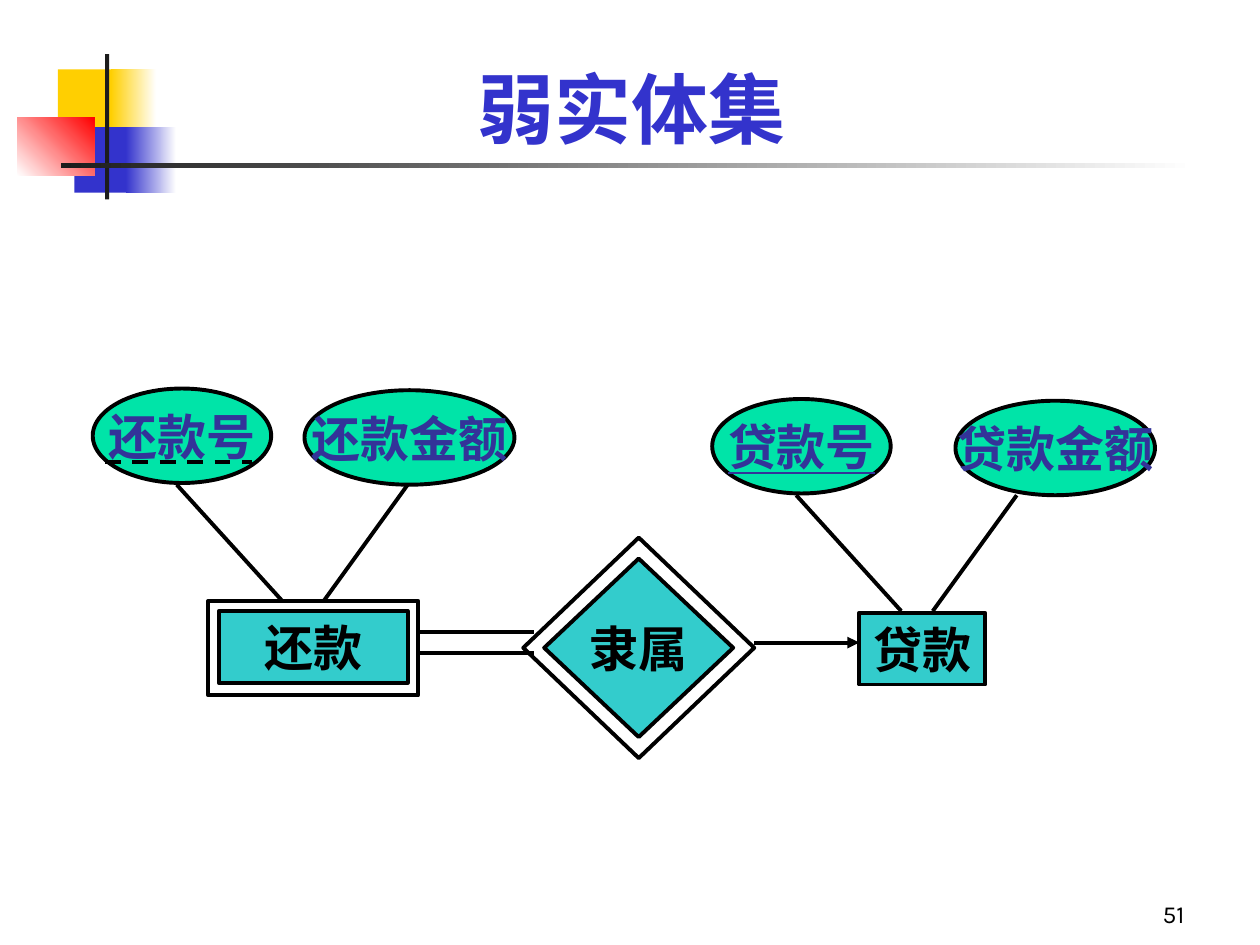
from pptx import Presentation
from pptx.dml.color import RGBColor
from pptx.enum.dml import MSO_LINE
from pptx.enum.shapes import MSO_CONNECTOR, MSO_SHAPE as SHAPE
from pptx.enum.text import MSO_ANCHOR as ANCHOR, PP_ALIGN as ALIGN
from pptx.oxml.ns import qn
from pptx.util import Pt
from lxml.etree import SubElement

YELLOW = RGBColor(0xFF, 0xCF, 0x01)
BLUE = RGBColor(0x33, 0x33, 0xCC)
RED = RGBColor(0xFF, 0x00, 0x00)
CHARCOAL = RGBColor(0x1C, 0x1C, 0x1C)
WHITE = RGBColor(0xFF, 0xFF, 0xFF)
BLACK = RGBColor(0x00, 0x00, 0x00)
TEAL = RGBColor(0x33, 0xCC, 0xCC)
GREEN = RGBColor(0x00, 0xE4, 0xA8)
INDIGO = RGBColor(0x33, 0x33, 0x99)

presentation = Presentation()
presentation.slide_width, presentation.slide_height = Pt(720), Pt(540)
slide = presentation.slides.add_slide(presentation.slide_layouts[6])


def add_shape(kind, box, fill=None, outlined=True):
    shape = slide.shapes.add_shape(kind, *map(Pt, box))
    shape.shadow.inherit = False
    if fill is None:
        shape.fill.background()
    else:
        shape.fill.solid()
        shape.fill.fore_color.rgb = fill
    if outlined:
        shape.line.color.rgb = BLACK
        shape.line.width = Pt(2.25)
    else:
        shape.line.fill.background()
    return shape


def write(shape, text, size, color, font_name, bold=True, align=ALIGN.CENTER,
          anchor=ANCHOR.MIDDLE, wrap=False):
    frame = shape.text_frame
    frame.word_wrap = wrap
    frame.vertical_anchor = anchor
    paragraph = frame.paragraphs[0]
    paragraph.text = text
    paragraph.alignment = align
    font = paragraph.font
    font.name, font.size, font.bold = font_name, Pt(size), bold
    font.color.rgb = color
    return paragraph


# Corner decoration: box, start colour, end colour (None for solid), angle
for box, start, end, angle in [
    ((33.1, 39.6, 34.6, 37.4), YELLOW, None, 0),
    ((63.4, 39.6, 25.9, 37.4), YELLOW, WHITE, 0),
    ((42.5, 72.7, 33.1, 37.4), BLUE, None, 0),
    ((72, 72.7, 28.8, 37.4), BLUE, WHITE, 0),
    ((10, 67, 44, 33.5), WHITE, RED, 45),
    ((60, 31, 2.4, 83), CHARCOAL, None, 0),
    ((34.8, 93.4, 648, 2.4), CHARCOAL, WHITE, 0),
]:
    block = add_shape(SHAPE.RECTANGLE, box, start, outlined=False)
    if end is not None:
        block.fill.gradient()
        block.fill.gradient_angle = angle
        for stop, color in zip(block.fill.gradient_stops, (start, end)):
            stop.color.rgb = color

# Page number and title
page_number = slide.shapes.add_textbox(Pt(534), Pt(498), Pt(150), Pt(36))
write(page_number, "51", 14, BLACK, "Karla", bold=False, align=ALIGN.RIGHT,
      anchor=ANCHOR.BOTTOM, wrap=True)
title = slide.shapes.add_textbox(Pt(54), Pt(18), Pt(613.5), Pt(73.5))
write(title, "弱实体集", 44, BLUE, "Karla", anchor=ANCHOR.BOTTOM, wrap=True)

# Outer frames of the weak entity set and its identifying relationship
add_shape(SHAPE.RECTANGLE, (119, 343.4, 120, 54))
add_shape(SHAPE.DIAMOND, (299, 307.2, 132, 126))

# Entities, relationship and attributes
for kind, text, box, fill, color, underline in [
    (SHAPE.RECTANGLE, "还款", (125, 349.2, 108, 41), TEAL, BLACK, False),
    (SHAPE.RECTANGLE, "贷款", (491, 350.2, 72, 41), TEAL, BLACK, False),
    (SHAPE.DIAMOND, "隶属", (311, 319.2, 108, 102), TEAL, BLACK, False),
    (SHAPE.OVAL, "还款号", (53, 222, 102, 54), GREEN, INDIGO, False),
    (SHAPE.OVAL, "还款金额", (174, 223, 120, 54), GREEN, INDIGO, False),
    (SHAPE.OVAL, "贷款号", (407, 228, 102, 54), GREEN, INDIGO, True),
    (SHAPE.OVAL, "贷款金额", (546, 229, 114, 54), GREEN, INDIGO, False),
]:
    paragraph = write(add_shape(kind, box, fill), text, 28, color,
                      "Times New Roman")
    if underline:
        paragraph.font.underline = True

# Links: start, end, style
for start, end, style in [
    ((161.3, 343.4), (101, 277), None),
    ((185, 343.4), (233, 277), None),
    ((515, 349.2), (455, 283), None),
    ((533, 349.2), (581, 283), None),
    ((239, 361.2), (305, 361.2), None),
    ((239, 373.2), (305, 373.2), None),
    ((431, 367.2), (491, 367.2), "arrow"),
    ((60, 264), (144, 264), "dash"),
]:
    link = slide.shapes.add_connector(MSO_CONNECTOR.STRAIGHT,
                                      *map(Pt, start + end))
    link.line.color.rgb = BLACK
    link.line.width = Pt(2.25)
    if style == "dash":
        link.line.dash_style = MSO_LINE.DASH
    if style == "arrow":
        SubElement(link.line._get_or_add_ln(), qn("a:tailEnd"), type="triangle")
    SubElement(link._element.spPr, qn("a:effectLst"))

presentation.save("out.pptx")
